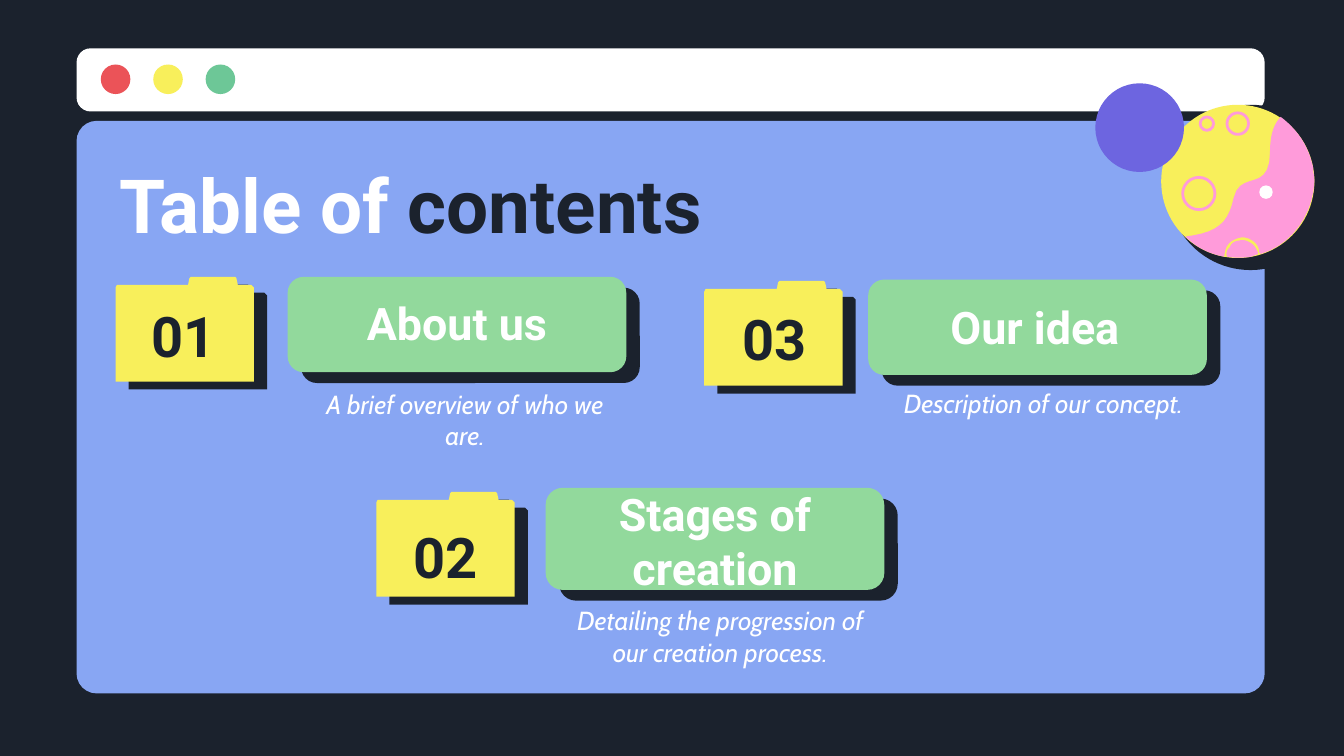
from dataclasses import dataclass

from lxml.etree import SubElement
from pptx import Presentation
from pptx.dml.color import RGBColor
from pptx.enum.shapes import MSO_SHAPE as Preset
from pptx.enum.text import MSO_ANCHOR as Anchor, MSO_AUTO_SIZE as AutoSize, PP_ALIGN as Align
from pptx.oxml.ns import qn
from pptx.util import Inches, Pt

NAVY = RGBColor(0x1B, 0x22, 0x2D)
WHITE = RGBColor(0xFF, 0xFF, 0xFF)
RED = RGBColor(0xEB, 0x53, 0x58)
YELLOW = RGBColor(0xF8, 0xEF, 0x5B)
GREEN = RGBColor(0x6D, 0xC7, 0x97)
MINT = RGBColor(0x92, 0xD9, 0x9C)
BLUE = RGBColor(0x88, 0xA6, 0xF3)
PINK = RGBColor(0xFF, 0x9B, 0xDA)
PURPLE = RGBColor(0x6D, 0x65, 0xE0)

TITLE_FONT = {"name": "Roboto", "size": Pt(40), "bold": True}
HEADING_FONT = {"name": "Roboto", "size": Pt(24), "bold": True}
NUMBER_FONT = {"name": "Roboto", "size": Pt(30), "bold": True}
DESCRIPTION_FONT = {"name": "Cabin", "size": Pt(14), "bold": False, "italic": True}

FOLDER_OUTLINE = [
    (0, 0.08), (0.01, 0.06), (0.03, 0.06), (0.54, 0.06), (0.55, 0.01), (0.56, 0),
    (0.89, 0), (0.9, 0.01), (0.91, 0.06), (1.01, 0.06), (1.03, 0.08),
    (1.03, 0.78), (0, 0.78),
]
LAND = [
    (0.91, 0.11), (0.99, 0.17), (1.07, 0.26), (1.11, 0.36),
    (1.13, 0.4), (1.14, 0.45), (1.15, 0.48), (1.15, 0.52), (1.16, 0.55), (1.16, 0.59),
    (1.15, 0.84), (0.99, 1.06), (0.76, 1.13), (0.76, 1.13), (0.76, 1.12), (0.75, 1.12),
    (0.75, 1.08), (0.73, 1.05), (0.7, 1.03), (0.67, 1.01), (0.63, 1), (0.6, 1.01),
    (0.56, 1.02), (0.53, 1.04), (0.51, 1.07), (0.5, 1.09), (0.49, 1.12), (0.49, 1.15),
    (0.38, 1.13), (0.28, 1.08), (0.2, 1), (0.44, 0.97), (0.52, 0.9), (0.56, 0.71),
    (0.61, 0.5), (0.83, 0.68), (0.83, 0.37), (0.83, 0.22), (0.87, 0.15), (0.91, 0.11),
]
LOWER_CRATER = [
    (0.74, 1.13), (0.74, 1.13), (0.74, 1.13), (0.74, 1.12),
    (0.73, 1.09), (0.71, 1.06), (0.69, 1.05), (0.66, 1.03), (0.63, 1.02), (0.6, 1.03),
    (0.57, 1.03), (0.54, 1.05), (0.53, 1.08), (0.51, 1.1), (0.5, 1.12), (0.51, 1.15),
    (0.57, 1.16), (0.63, 1.16), (0.69, 1.15), (0.71, 1.14), (0.72, 1.14), (0.74, 1.13),
]


@dataclass
class Card:
    number: str
    heading: str
    description: str
    origin: tuple
    button: tuple
    number_box: tuple
    heading_box: tuple
    description_box: tuple


CARDS = [
    Card("01", "About us", "A brief overview of who we are.", (0.86, 2.06),
         (1.28, 0, 2.52, 0.71), (0.07, 0.11, 0.87, 0.65),
         (1.51, 0.2, 2.06, 0.44), (1.38, 0.73, 2.44, 0.58)),
    Card("02", "Stages of creation", "Detailing the progression of our creation process.",
         (2.8, 3.66), (1.26, -0.03, 2.52, 0.76), (0.08, 0.15, 0.87, 0.65),
         (1.35, 0.06, 2.34, 0.8), (1.34, 0.74, 2.44, 0.58)),
    Card("03", "Our idea", "Description of our concept.", (5.24, 2.09),
         (1.22, -0.01, 2.52, 0.71), (0.09, 0.1, 0.87, 0.65),
         (1.43, 0.2, 2.06, 0.44), (1.3, 0.69, 2.45, 0.58)),
]


def inside(origin, box):
    return origin[0] + box[0], origin[1] + box[1], box[2], box[3]


def paint(shape, color):
    shape.shadow.inherit = False
    shape.fill.solid()
    shape.fill.fore_color.rgb = color
    shape.line.fill.background()
    return shape


def add_preset(slide, preset, box, color, corner=None):
    shape = paint(slide.shapes.add_shape(preset, *map(Inches, box)), color)
    if corner is not None:
        shape.adjustments[0] = corner
    return shape


def add_disc(slide, x, y, radius, color):
    box = (x - radius, y - radius, 2 * radius, 2 * radius)
    return add_preset(slide, Preset.OVAL, box, color)


def add_outline(slide, origin, contours, color):
    placed = [[(Inches(origin[0] + x), Inches(origin[1] + y)) for x, y in contour]
              for contour in contours]
    builder = slide.shapes.build_freeform(*placed[0][0], scale=1.0)
    for index, contour in enumerate(placed):
        if index:
            builder.move_to(*contour[0])
        builder.add_line_segments(contour[1:], close=True)
    return paint(builder.convert_to_shape(), color)


def trace_curves(points, steps=10):
    traced = [points[0]]
    for i in range(0, len(points) - 1, 3):
        for step in range(1, steps + 1):
            t = step / steps
            weights = ((1 - t) ** 3, 3 * t * (1 - t) ** 2, 3 * t * t * (1 - t), t ** 3)
            traced.append(tuple(sum(w * p[axis] for w, p in zip(weights, points[i:i + 4]))
                                for axis in (0, 1)))
    return traced


def write(holder, box, runs, font, anchor=Anchor.TOP, align=Align.CENTER):
    holder.left, holder.top, holder.width, holder.height = map(Inches, box)
    frame = holder.text_frame
    layout = {"word_wrap": True, "auto_size": AutoSize.NONE, "vertical_anchor": anchor}
    layout.update({f"margin_{side}": Inches(0.1) for side in ("left", "top", "right", "bottom")})
    for key, value in layout.items():
        setattr(frame, key, value)
    paragraph = frame.paragraphs[0]
    paragraph.alignment = align
    paragraph.space_before = Pt(0)
    for words, color in runs:
        run = paragraph.add_run()
        run.text = words
        for key, value in font.items():
            setattr(run.font, key, value)
        run.font.color.rgb = color
    return paragraph


def bring_forward(slide, holder):
    slide.shapes.element.append(holder.element)


def draw_window(slide, left, top, width):
    add_preset(slide, Preset.ROUNDED_RECTANGLE, (left, top, width, 0.47), WHITE, 0.223)
    for index, color in enumerate((RED, YELLOW, GREEN)):
        add_disc(slide, left + 0.29 + index * 0.39, top + 0.23, 0.11, color)
    add_preset(slide, Preset.ROUNDED_RECTANGLE, (left, top + 0.54, width, 4.26), BLUE, 0.035)


def draw_planet(slide, left, top):
    add_preset(slide, Preset.OVAL, (left + 0.07, top + 0.02, 1.23, 1.23), NAVY)
    add_disc(slide, left + 0.59, top + 0.59, 0.57, YELLOW)
    for x, y, radius in ((0.59, 0.16, 0.08), (0.3, 0.68, 0.12), (0.36, 0.16, 0.05)):
        crater = add_disc(slide, left + x, top + y, radius, YELLOW)
        crater.line.color.rgb = PINK
        crater.line.width = Pt(1.5)
    add_outline(slide, (left, top), [trace_curves(LAND), trace_curves(LOWER_CRATER)], PINK)
    add_disc(slide, left + 0.8, top + 0.67, 0.05, WHITE)
    add_disc(slide, left - 0.14, top + 0.19, 0.33, PURPLE)


def draw_folder(slide, origin):
    folder = add_outline(slide, origin, [FOLDER_OUTLINE], YELLOW)
    effects = folder.element.spPr.find(qn("a:effectLst"))
    shadow = SubElement(effects, qn("a:outerShdw"), dist=str(Pt(8.2)),
                        dir=str(31 * 60000), algn="bl", rotWithShape="0")
    SubElement(shadow, qn("a:srgbClr"), val=str(NAVY))


def draw_card(slide, card, description):
    button = inside(card.origin, card.button)
    add_preset(slide, Preset.ROUNDED_RECTANGLE, inside((0.1, 0.08), button), NAVY, 0.167)
    add_preset(slide, Preset.ROUNDED_RECTANGLE, button, MINT, 0.167)
    draw_folder(slide, card.origin)
    for words, box, font, color, anchor in (
            (card.number, card.number_box, NUMBER_FONT, NAVY, Anchor.MIDDLE),
            (card.heading, card.heading_box, HEADING_FONT, WHITE, Anchor.BOTTOM)):
        label = slide.shapes.add_textbox(0, 0, 0, 0)
        write(label, inside(card.origin, box), [(words, color)], font, anchor)
    paragraph = write(description, inside(card.origin, card.description_box),
                      [(card.description, WHITE)], DESCRIPTION_FONT)
    properties = paragraph._p.get_or_add_pPr()
    for key in ("marL", "indent"):
        properties.set(key, "0")
    SubElement(properties, qn("a:buNone"))
    bring_forward(slide, description)


def draw_title(slide, box):
    title = slide.shapes.title
    write(title, box, [("Table of ", WHITE), ("contents", NAVY)], TITLE_FONT, align=Align.LEFT)
    bring_forward(slide, title)


def main():
    deck = Presentation()
    deck.slide_width = Inches(10)
    deck.slide_height = deck.slide_width * 9 // 16
    slide = deck.slides.add_slide(deck.slide_layouts[4])
    slide.background.fill.solid()
    slide.background.fill.fore_color.rgb = NAVY
    *descriptions, spare = list(slide.placeholders)[1:]
    spare.element.getparent().remove(spare.element)
    draw_window(slide, 0.57, 0.36, 8.84)
    draw_planet(slide, 8.62, 0.76)
    for card, description in zip(CARDS, descriptions):
        draw_card(slide, card, description)
    draw_title(slide, (0.79, 1.08, 8.43, 0.62))
    deck.save("out.pptx")


if __name__ == "__main__":
    main()
